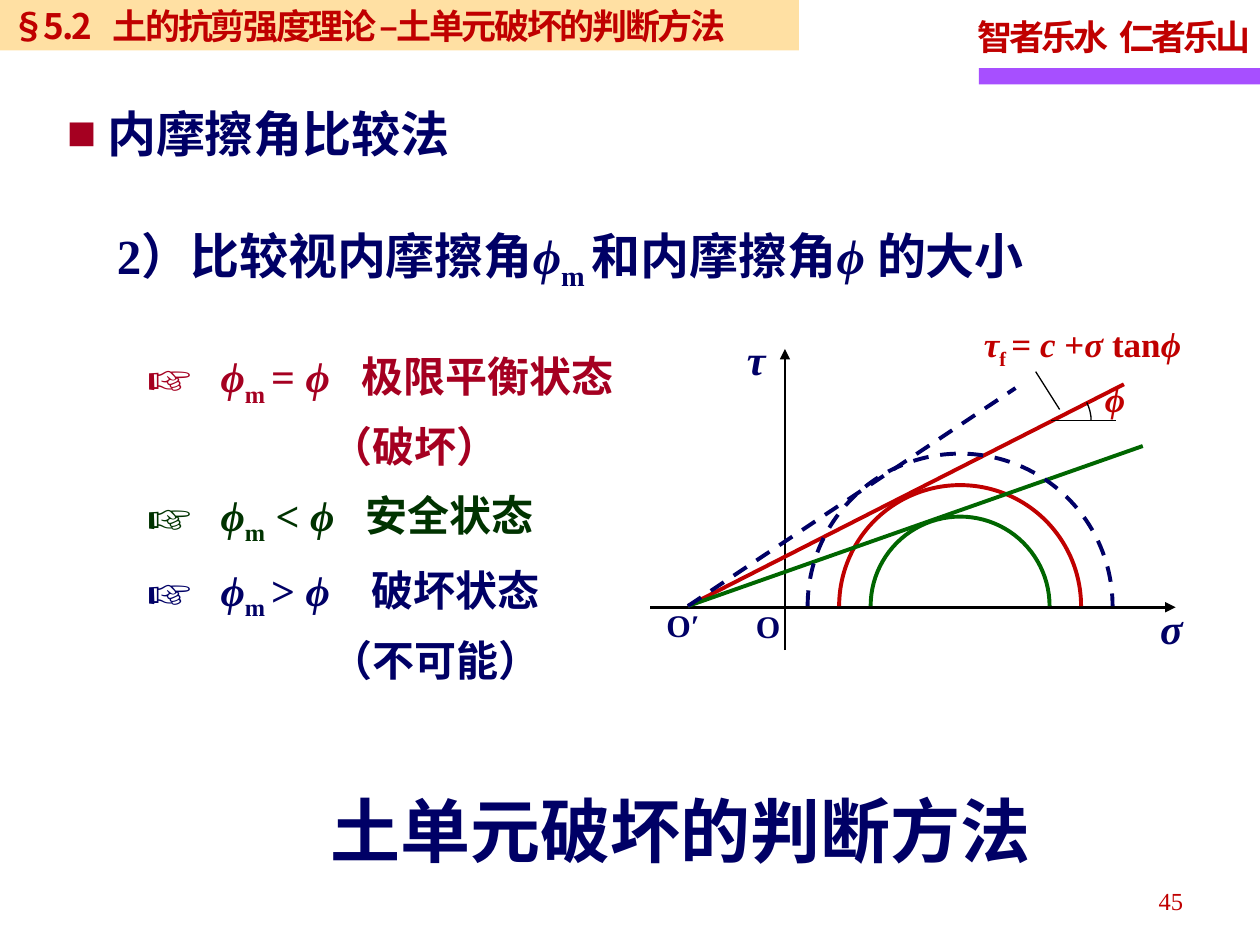
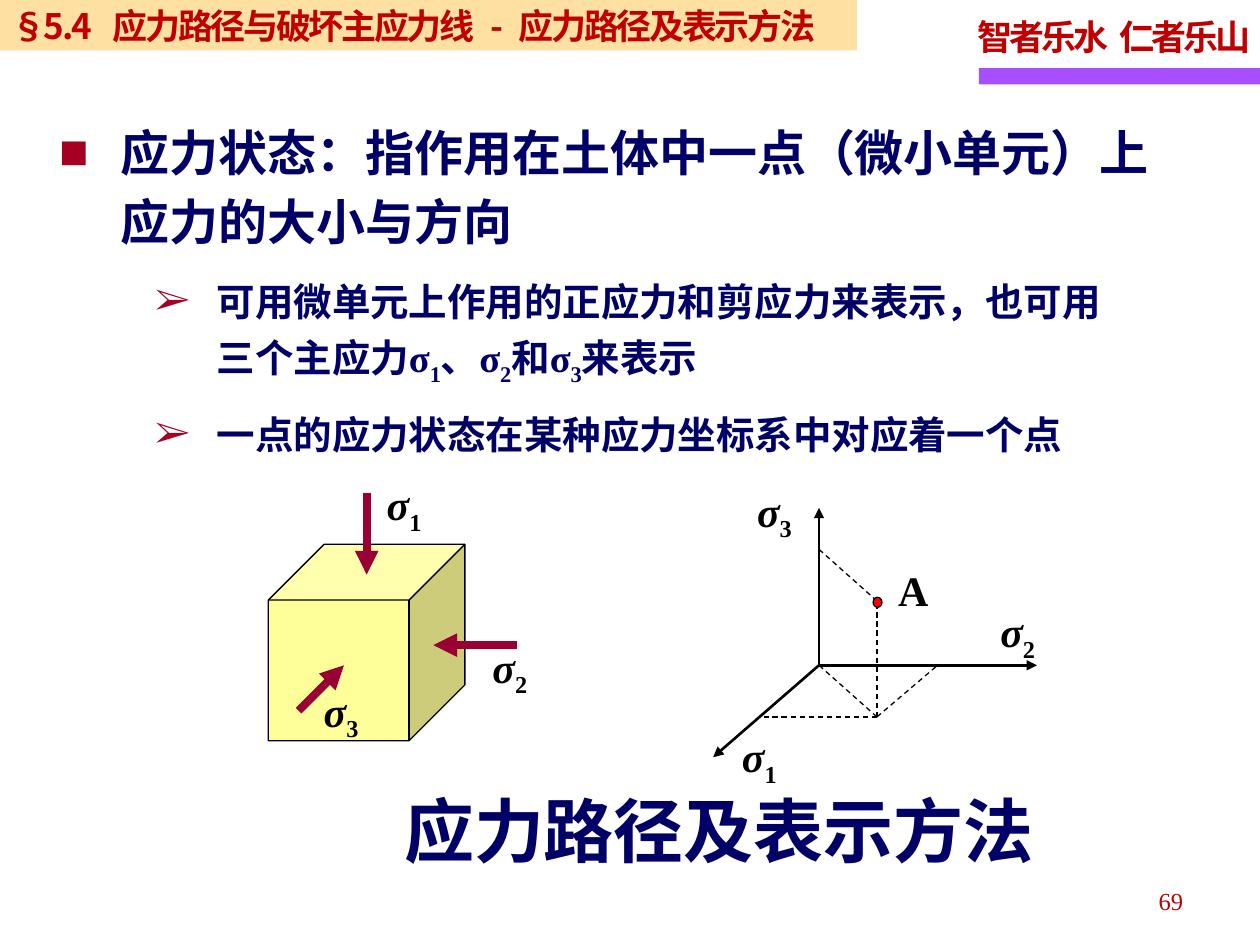
from lxml import etree
from pptx import Presentation
from pptx.dml.color import RGBColor
from pptx.enum.dml import MSO_LINE
from pptx.enum.shapes import MSO_CONNECTOR, MSO_SHAPE
from pptx.enum.text import MSO_ANCHOR, MSO_AUTO_SIZE, PP_ALIGN
from pptx.oxml.ns import qn
from pptx.util import Inches, Pt

DASH = MSO_LINE.DASH
STRAIGHT = MSO_CONNECTOR.STRAIGHT
RECTANGLE, ARC = MSO_SHAPE.RECTANGLE, MSO_SHAPE.ARC
CUBE, OVAL = MSO_SHAPE.CUBE, MSO_SHAPE.OVAL
TOP, MIDDLE = MSO_ANCHOR.TOP, MSO_ANCHOR.MIDDLE
NO_AUTOFIT = MSO_AUTO_SIZE.NONE
LEFT, CENTER, RIGHT = PP_ALIGN.LEFT, PP_ALIGN.CENTER, PP_ALIGN.RIGHT

SERIF, SANS = "Times New Roman", "Noto Sans CJK SC"
NAVY, RED, CRIMSON, BLACK = "000066", "C00000", "A50021", "000000"
GREEN, DARK_GREEN, MAROON = "006600", "003300", "990033"
PURPLE, BAND, YELLOW, DOT = "A74FFF", "FFCC66", "FFFF99", "FF0000"
TWO_CONTENT_LAYOUT = 3
ITALIC, SUBSCRIPT = {"italic": True}, {"subscript": True}
PHI = ("ϕ", ITALIC)


def rgb(color):
    """Turn a hex string into a colour."""
    return RGBColor.from_string(color)


def gap(points):
    """Return one space widened by the given number of points."""
    return (" ", {"spacing": points})


def style_run(run, size, color, font, bold, italic=False, subscript=False, spacing=0):
    """Apply character formatting to a run."""
    run.font.size, run.font.bold, run.font.italic = Pt(size), bold, italic
    run.font.name = font
    run.font.color.rgb = rgb(color)
    properties = run._r.get_or_add_rPr()
    etree.SubElement(properties, qn("a:ea")).set("typeface", SANS)
    if subscript:
        properties.set("baseline", "-25000")
    if spacing:
        properties.set("spc", str(round(spacing * 100)))


def write(shape, *runs, size, color=NAVY, font=SERIF, bold=True, spacing=0,
          align=LEFT, line=None, before=0, bullet=None, bullet_color=None,
          bullet_size=100, margin=0, indent=0):
    """Add one paragraph of runs, each a string or a (string, format) pair."""
    frame = shape.text_frame
    first = not frame.paragraphs[0].runs
    paragraph = frame.paragraphs[0] if first else frame.add_paragraph()
    properties = paragraph._p.get_or_add_pPr()
    properties.set("marL", str(Inches(margin)))
    properties.set("indent", str(Inches(indent)))
    if bullet:
        bullet_fill = etree.SubElement(properties, qn("a:buClr"))
        etree.SubElement(bullet_fill, qn("a:srgbClr")).set("val", bullet_color or color)
        etree.SubElement(properties, qn("a:buSzPct")).set("val", str(bullet_size * 1000))
        etree.SubElement(properties, qn("a:buFont")).set("typeface", SERIF)
        etree.SubElement(properties, qn("a:buChar")).set("char", bullet)
    else:
        etree.SubElement(properties, qn("a:buNone"))
    paragraph.alignment = align
    paragraph.space_before = Pt(0 if first else before)
    paragraph.space_after = Pt(0)
    if line:
        paragraph.line_spacing = Pt(line)
    for item in runs:
        text, extra = (item, {}) if isinstance(item, str) else item
        run = paragraph.add_run()
        run.text = text
        style_run(run, **{"size": size, "color": color, "font": font,
                          "bold": bold, "spacing": spacing, **extra})


def place(shape, left, top, width, height, inset=True, wrap=True):
    """Move a text shape and set up its frame."""
    shape.left, shape.top = Inches(left), Inches(top)
    shape.width, shape.height = Inches(width), Inches(height)
    frame = shape.text_frame
    frame.word_wrap, frame.auto_size = wrap, NO_AUTOFIT
    frame.vertical_anchor = TOP
    frame.margin_left = frame.margin_right = Inches(0.1 if inset else 0)
    frame.margin_top = frame.margin_bottom = Inches(0.05 if inset else 0)
    return shape


def add_label(slide, left, top, width, height, *runs, wrap=False, **text_format):
    """Add a text box holding one paragraph."""
    box = slide.shapes.add_textbox(0, 0, 0, 0)
    write(place(box, left, top, width, height, wrap=wrap), *runs, **text_format)


def add_shape(slide, kind, left, top, width, height, fill=None, outline=None, weight=0.75):
    """Add a preset shape without shadow."""
    shape = slide.shapes.add_shape(
        kind, Inches(left), Inches(top), Inches(width), Inches(height))
    shape.shadow.inherit = False
    if fill:
        shape.fill.solid()
        shape.fill.fore_color.rgb = rgb(fill)
    else:
        shape.fill.background()
    if outline:
        shape.line.color.rgb = rgb(outline)
        shape.line.width = Pt(weight)
    else:
        shape.line.fill.background()
    return shape


def add_line(slide, box, start, end, color=BLACK, weight=0.75, dash=None, arrow=False):
    """Add a straight line between two points measured from the box corner."""
    left, top = box
    line = slide.shapes.add_connector(
        STRAIGHT, Inches(left + start[0]), Inches(top + start[1]),
        Inches(left + end[0]), Inches(top + end[1]))
    line.line.color.rgb = rgb(color)
    line.line.width = Pt(weight)
    if dash:
        line.line.dash_style = dash
    if arrow:
        outline = line.line._get_or_add_ln()
        etree.SubElement(outline, qn("a:tailEnd")).set("type", "triangle")
    etree.SubElement(line._element.spPr, qn("a:effectLst"))


def add_arc(slide, box, center, radius, start_degrees, color, weight, dash=None):
    """Add a circular arc that runs clockwise to the right-hand side."""
    left, top = box[0] + center[0] - radius, box[1] + center[1] - radius
    arc = add_shape(slide, ARC, left, top, 2 * radius, 2 * radius,
                    outline=color, weight=weight)
    arc.adjustments[0], arc.adjustments[1] = start_degrees * 0.6, 0
    if dash:
        arc.line.dash_style = dash


def add_page(presentation, section, section_width, title, title_box, number):
    """Add a slide with its motto, section band, bottom title and number."""
    slide = presentation.slides.add_slide(presentation.slide_layouts[TWO_CONTENT_LAYOUT])
    add_shape(slide, RECTANGLE, 7.77, 0.54, 2.23, 0.13, fill=PURPLE)
    add_label(slide, 7.66, 0.07, 2.36, 0.49, "智者乐水", gap(1.6), "仁者乐山",
              size=20, color=RED, spacing=-1.7)
    add_label(slide, 7.16, 6.98, 2.33, 0.4, number, wrap=True,
              size=14, color=RED, bold=False, align=RIGHT)
    band = add_shape(slide, RECTANGLE, -0.01, 0, section_width, 0.4, fill=BAND)
    band_color = band._element.spPr.find(qn("a:solidFill"))[0]
    etree.SubElement(band_color, qn("a:alpha")).set("val", "60000")
    place(band, -0.01, 0, section_width, 0.4)
    band.text_frame.vertical_anchor = MIDDLE
    write(band, *section, size=20, color=RED, font=SANS, spacing=-1.4)
    left, width = title_box
    write(place(slide.shapes.title, left, 6.25, width, 0.8, inset=False), title,
          size=40, font=SANS, align=CENTER)
    return slide


def add_states(body, left, top):
    """Fill the body with the three comparisons of friction angles."""
    place(body, left, top, 4.15, 2.69)
    states = [
        (CRIMSON, [("m ", SUBSCRIPT), "= "], 12, "极限平衡状态", "（破坏）"),
        (DARK_GREEN, [("m", SUBSCRIPT), " < "], 12, "安全状态", None),
        (NAVY, [("m ", SUBSCRIPT), "> "], 18, "破坏状态", "（不可能）"),
    ]
    for color, relation, space, state, remark in states:
        write(body, PHI, *relation, PHI, gap(space), state, size=24, color=color,
              line=36, before=7, bullet="☞", bullet_size=130, margin=0.58, indent=-0.58)
        if remark:
            write(body, remark, size=24, color=color, line=36, margin=1.45)


def add_strength_diagram(slide, left, top):
    """Draw the stress circles with their three tangent lines."""
    box = left, top
    apex, center = (0.3, 2.3), (2.46, 2.3)
    add_line(slide, box, (0, 2.31), (4.17, 2.31), weight=1.5, arrow=True)
    add_line(slide, box, (1.07, 2.65), (1.07, 0.26), weight=1.5, arrow=True)
    circles = [
        (0.96, RED, None, (3.76, 0.54)),
        (0.71, GREEN, None, (3.91, 1.03)),
        (1.21, NAVY, DASH, (2.9, 0.57)),
    ]
    for radius, color, dash, tangent_end in circles:
        add_arc(slide, box, center, radius, 180, color, 2.25, dash)
        add_line(slide, box, apex, tangent_end, color, 2.25, dash)
    angle_corner = (3.18, 0.83)
    add_line(slide, box, angle_corner, (3.7, 0.83))
    add_arc(slide, box, angle_corner, 0.32, 333, BLACK, 0.75)
    add_line(slide, box, (3.25, 0.74), (3.06, 0.44))
    labels = [
        (3.95, 2.22, ("σ", ITALIC), 24, NAVY),
        (0.67, 0.09, ("τ", ITALIC), 24, NAVY),
        (0.74, 2.26, "O", 18, NAVY),
        (0.03, 2.25, "O′", 18, NAVY),
        (3.51, 0.44, PHI, 20, RED),
    ]
    for x, y, text, size, color in labels:
        add_label(slide, left + x, top + y, 0.45, 0.5, text, size=size, color=color)
    add_label(slide, left + 2.55, top, 1.82, 0.44, ("τ", ITALIC), ("f ", SUBSCRIPT),
              "= ", ("c ", ITALIC), "+", ("σ ", ITALIC), "tan", PHI, size=20, color=RED)


def add_sigma_labels(slide, box, positions):
    """Number the principal stresses at the given points of the box."""
    for index, (x, y) in enumerate(positions, start=1):
        add_label(slide, box[0] + x, box[1] + y, 0.52, 0.51, ("σ", ITALIC),
                  (str(index), SUBSCRIPT), size=24, color=BLACK)


def add_stress_cube(slide, left, top):
    """Draw the soil element with a stress arrow on each face."""
    box = left, top
    cube = add_shape(slide, CUBE, left, top + 0.57, 1.56, 1.56, YELLOW, BLACK)
    cube.adjustments[0] = 0.284
    arrows = [((0.78, 0.16), (0.78, 0.81)), ((1.97, 1.37), (1.31, 1.37)),
              ((0.24, 1.89), (0.6, 1.53))]
    for start, end in arrows:
        add_line(slide, box, start, end, MAROON, 4.5, arrow=True)
    add_sigma_labels(slide, box, [(0.84, 0), (1.68, 1.29), (0.34, 1.64)])


def add_stress_space(slide, left, top):
    """Draw the principal stress axes with point A and its projections."""
    box = left, top
    origin, point, foot = (0.84, 1.48), (1.3, 0.97), (1.3, 1.89)
    for end in [(0, 2.21), (2.57, 1.48), (0.84, 0.23)]:
        add_line(slide, box, origin, end, weight=1.5, arrow=True)
    for end in [point, (0.4, 1.89), (1.77, 1.49), origin]:
        add_line(slide, box, foot, end, dash=DASH)
    add_line(slide, box, point, (0.84, 0.56), dash=DASH)
    add_shape(slide, OVAL, left + 1.27, top + 0.94, 0.07, 0.08, DOT, BLACK)
    add_label(slide, left + 1.37, top + 0.63, 0.45, 0.51, "A", size=24, color=BLACK)
    add_sigma_labels(slide, box, [(0.13, 1.95), (2.18, 0.96), (0.25, 0)])


def add_friction_slide(presentation):
    """Build the slide that compares friction angles."""
    section = ["§5.2", gap(7.5), "土的抗剪强度理论 –土单元破坏的判断方法"]
    slide = add_page(presentation, section, 6.35, "土单元破坏的判断方法", (2.2, 6.4), "45")
    heading, states = list(slide.placeholders)[1:3]
    write(place(heading, 0.43, 0.77, 3.68, 0.61), "内摩擦角比较法", size=28,
          bullet="■", bullet_color=CRIMSON, margin=0.32, indent=-0.32)
    add_label(slide, 0.83, 1.69, 7.54, 0.67, "2）比较视内摩擦角", PHI, ("m ", SUBSCRIPT),
              "和内摩擦角", ("ϕ ", ITALIC), "的大小", wrap=True, size=28, line=42)
    add_states(states, 1.07, 2.69)
    add_strength_diagram(slide, 5.16, 2.51)


def add_stress_state_slide(presentation):
    """Build the slide that explains the stress state."""
    section = ["§5.4", gap(7.5), "应力路径与破坏主应力线", gap(4.5), "-", gap(4.5),
               "应力路径及表示方法"]
    slide = add_page(presentation, section, 6.81, "应力路径及表示方法", (2.79, 5.83), "69")
    definition, details = list(slide.placeholders)[1:3]
    hanging = {"bullet_color": CRIMSON, "margin": 0.49, "indent": -0.49}
    write(place(definition, 0.47, 0.89, 9, 1.13, inset=False),
          "应力状态：指作用在土体中一点（微小单元）上应力的大小与方向",
          size=28, font=SANS, line=39.4, bullet="■", **hanging)
    place(details, 1.23, 2.07, 7.73, 1.5, inset=False)
    points = [
        ["可用微单元上作用的正应力和剪应力来表示，也可用三个主应力σ", ("1", SUBSCRIPT),
         "、σ", ("2", SUBSCRIPT), "和σ", ("3", SUBSCRIPT), "来表示"],
        ["一点的应力状态在某种应力坐标系中对应着一个点"],
    ]
    for runs in points:
        write(details, *runs, size=22, line=36, before=4, bullet="➢", **hanging)
    add_stress_cube(slide, 2.13, 3.75)
    add_stress_space(slide, 5.66, 3.8)


def main():
    """Build and save the presentation."""
    presentation = Presentation()
    presentation.slide_width, presentation.slide_height = Inches(10), Inches(7.5)
    add_friction_slide(presentation)
    add_stress_state_slide(presentation)
    presentation.save("out.pptx")


if __name__ == "__main__":
    main()
